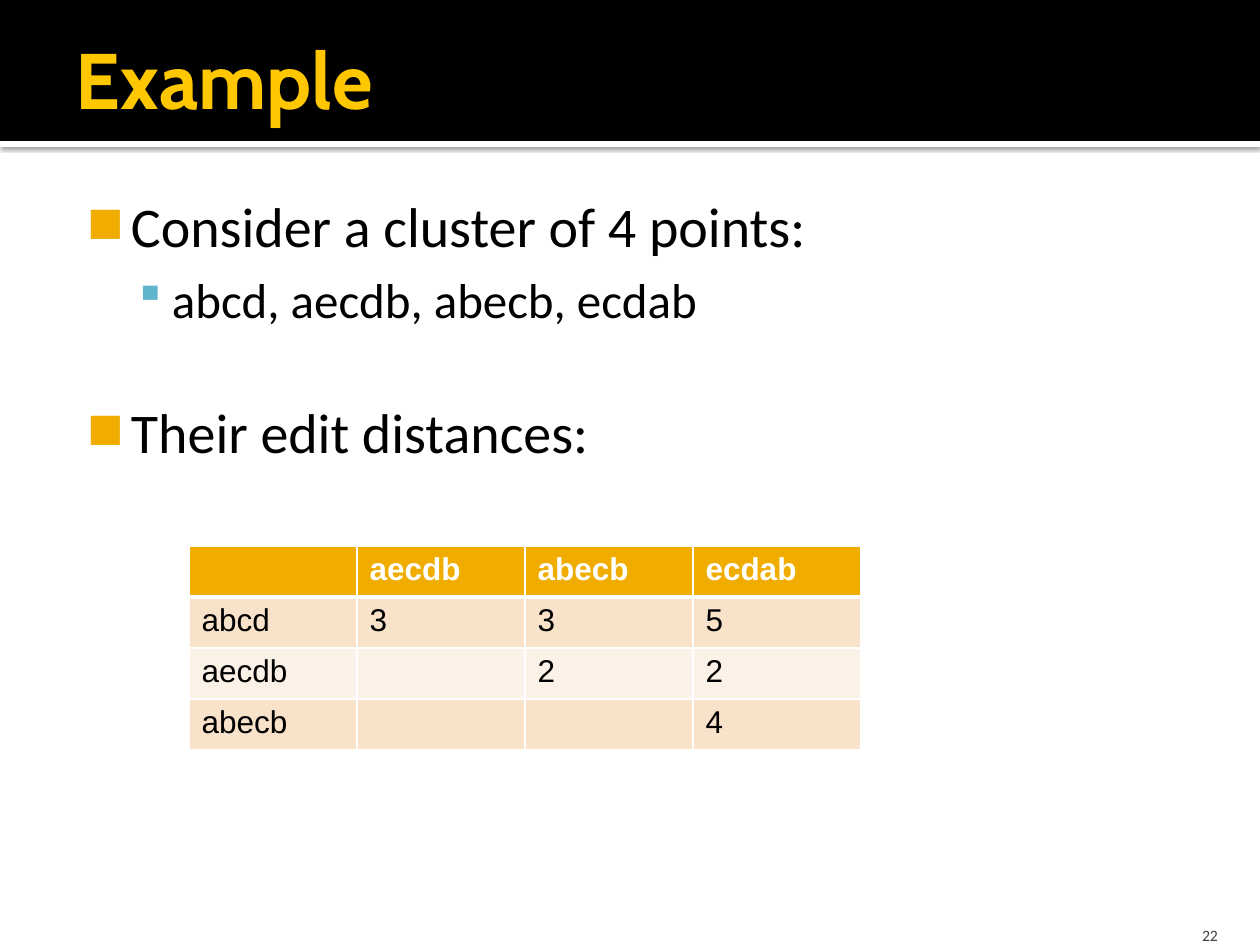
from lxml import etree
from pptx import Presentation
from pptx.dml.color import RGBColor
from pptx.enum.shapes import MSO_SHAPE
from pptx.enum.text import MSO_ANCHOR, PP_ALIGN
from pptx.oxml.ns import qn
from pptx.util import Pt

PX = 914400 / 126
RECTANGLE = MSO_SHAPE.RECTANGLE
TOP, MIDDLE, BOTTOM = MSO_ANCHOR.TOP, MSO_ANCHOR.MIDDLE, MSO_ANCHOR.BOTTOM
RIGHT = PP_ALIGN.RIGHT

COLORS = {
    "white": "FFFFFF", "black": "000000", "title": "FFC700", "amber": "F0AD00",
    "teal": "60B5CC", "gray": "414141", "band": "F9E2CA", "light band": "FCF1E6",
}

TITLE = "Example"
PAGE_NUMBER = "22"
# level, space before in points, text
POINTS = [
    (0, 0, "Consider a cluster of 4 points:"),
    (1, 5.6, "abcd, aecdb, abecb, ecdab"),
    (0, 40, "Their edit distances:"),
]
# size, bullet, bullet colour, bullet percent, left margin px, hanging px
LEVELS = [
    (32, "◼", "amber", 80, 60, 44),
    (28, "▪", "teal", 90, 101, 38),
]
DISTANCES = [
    ("", "aecdb", "abecb", "ecdab"),
    ("abcd", "3", "3", "5"),
    ("aecdb", "", "2", "2"),
    ("abecb", "", "", "4"),
]
TABLE_LEFT, TABLE_TOP, COLUMN_WIDTH, ROW_HEIGHT = 189, 546, 168, 51


def px(length):
    return round(length * PX)


def rgb(name):
    return RGBColor.from_string(COLORS[name])


def add_child(parent, tag, **attributes):
    return etree.SubElement(parent, qn(tag), {k: str(v) for k, v in attributes.items()})


def add_run(paragraph, text, size, font, color, bold=False):
    run = paragraph.add_run()
    run.text = text
    run.font.size, run.font.name, run.font.bold = Pt(size), font, bold
    run.font.color.rgb = rgb(color)


def add_bar(slide, top, height, color):
    bar = slide.shapes.add_shape(RECTANGLE, 0, px(top), px(1260), px(height))
    bar.shadow.inherit = False
    bar.fill.solid()
    bar.fill.fore_color.rgb = rgb(color)
    bar.line.fill.background()
    return bar


def add_soft_shadow(shape):
    effects = shape.element.spPr.find(qn("a:effectLst"))
    shadow = add_child(effects, "a:outerShdw", blurRad=Pt(2.5), dist=Pt(0.8),
                       dir=5400000, algn="tl", rotWithShape=0)
    color = add_child(shadow, "a:srgbClr", val=COLORS["black"])
    add_child(color, "a:alpha", val=60000)


def add_text_frame(slide, box, insets, anchor):
    frame = slide.shapes.add_textbox(*map(px, box)).text_frame
    frame.word_wrap = True
    frame.vertical_anchor = anchor
    (frame.margin_left, frame.margin_top,
     frame.margin_right, frame.margin_bottom) = map(px, insets)
    return frame


def set_bullet(paragraph, char, color, percent, margin, hanging):
    properties = paragraph._p.get_or_add_pPr()
    properties.set("marL", str(px(margin)))
    properties.set("indent", str(-px(hanging)))
    bullet_color = add_child(properties, "a:buClr")
    add_child(bullet_color, "a:srgbClr", val=COLORS[color])
    add_child(properties, "a:buSzPct", val=percent * 1000)
    add_child(properties, "a:buChar", char=char)


def add_points(frame):
    for index, (level, space, text) in enumerate(POINTS):
        paragraph = frame.paragraphs[0] if index == 0 else frame.add_paragraph()
        size, *bullet = LEVELS[level]
        paragraph.level = level
        paragraph.space_before = Pt(space)
        set_bullet(paragraph, *bullet)
        add_run(paragraph, text, size, "Calibri", "black")


def set_borders(cell, row):
    """White rules, with a thick one between the header and the first row."""
    properties = cell._tc.get_or_add_tcPr()
    widths = {"L": 1, "R": 1, "T": 3 if row == 1 else 1, "B": 3 if row == 0 else 1}
    for side, width in widths.items():
        line = add_child(properties, f"a:ln{side}", w=Pt(width))
        fill = add_child(line, "a:solidFill")
        add_child(fill, "a:srgbClr", val=COLORS["white"])


def add_distance_table(slide):
    rows, columns = len(DISTANCES), len(DISTANCES[0])
    table = slide.shapes.add_table(
        rows, columns, px(TABLE_LEFT), px(TABLE_TOP),
        px(columns * COLUMN_WIDTH), px(rows * ROW_HEIGHT)).table
    for row, texts in enumerate(DISTANCES):
        header = row == 0
        fill = "amber" if header else "band" if row % 2 else "light band"
        for column, text in enumerate(texts):
            cell = table.cell(row, column)
            set_borders(cell, row)
            cell.fill.solid()
            cell.fill.fore_color.rgb = rgb(fill)
            if text:
                add_run(cell.text_frame.paragraphs[0], text, 18, "Arial",
                        "white" if header else "black", header)


def main():
    deck = Presentation()
    deck.slide_width, deck.slide_height = px(1260), px(945)
    slide = deck.slides.add_slide(deck.slide_layouts[6])

    add_soft_shadow(add_bar(slide, 141, 6, "white"))
    add_bar(slide, 0, 141, "black")

    title = add_text_frame(slide, (63, 10, 1134, 136), (13, 6, 6, 6), MIDDLE)
    add_run(title.paragraphs[0], TITLE, 45, "Cabin", "title", True)

    add_points(add_text_frame(slide, (63, 179, 1134, 724), (8, 13, 13, 6), TOP))
    add_distance_table(slide)

    number = add_text_frame(slide, (1130, 907, 101, 38), (13, 6, 13, 0), BOTTOM)
    number.paragraphs[0].alignment = RIGHT
    add_run(number.paragraphs[0], PAGE_NUMBER, 9, "Calibri", "gray")

    deck.save("out.pptx")


if __name__ == "__main__":
    main()
